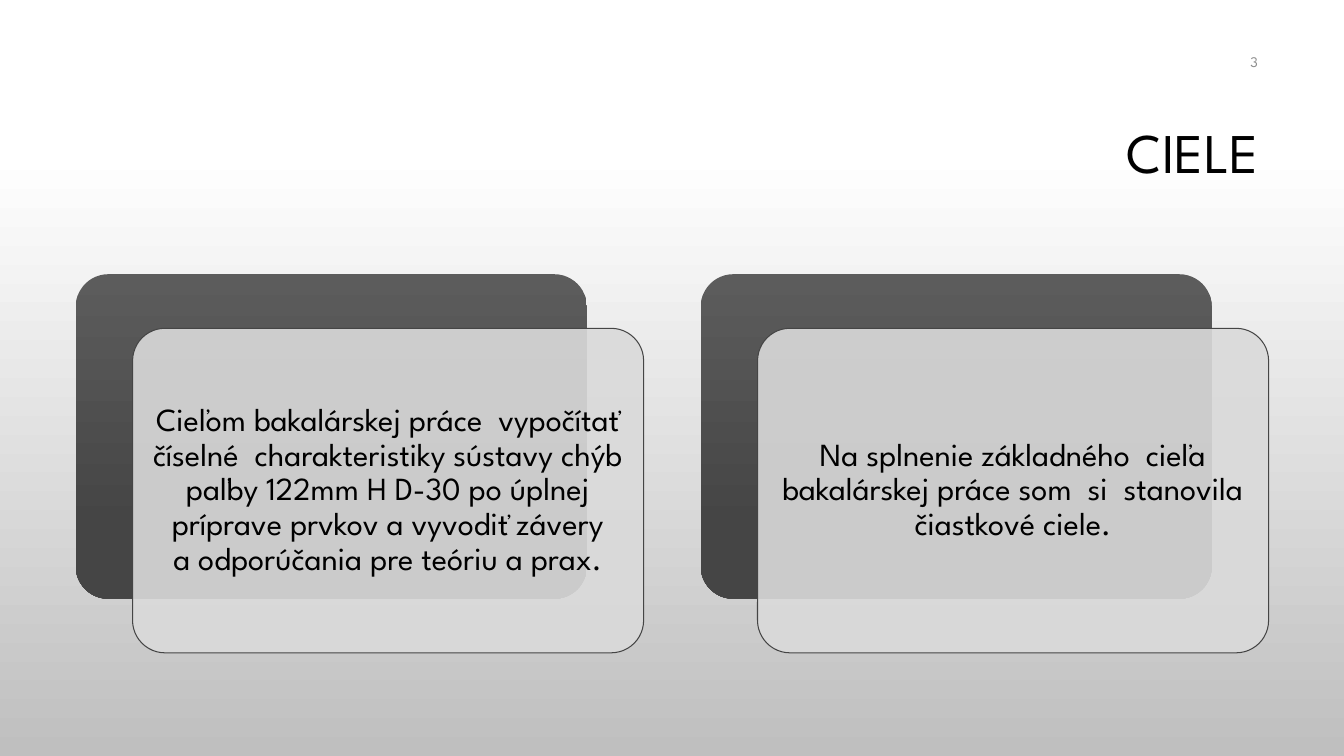
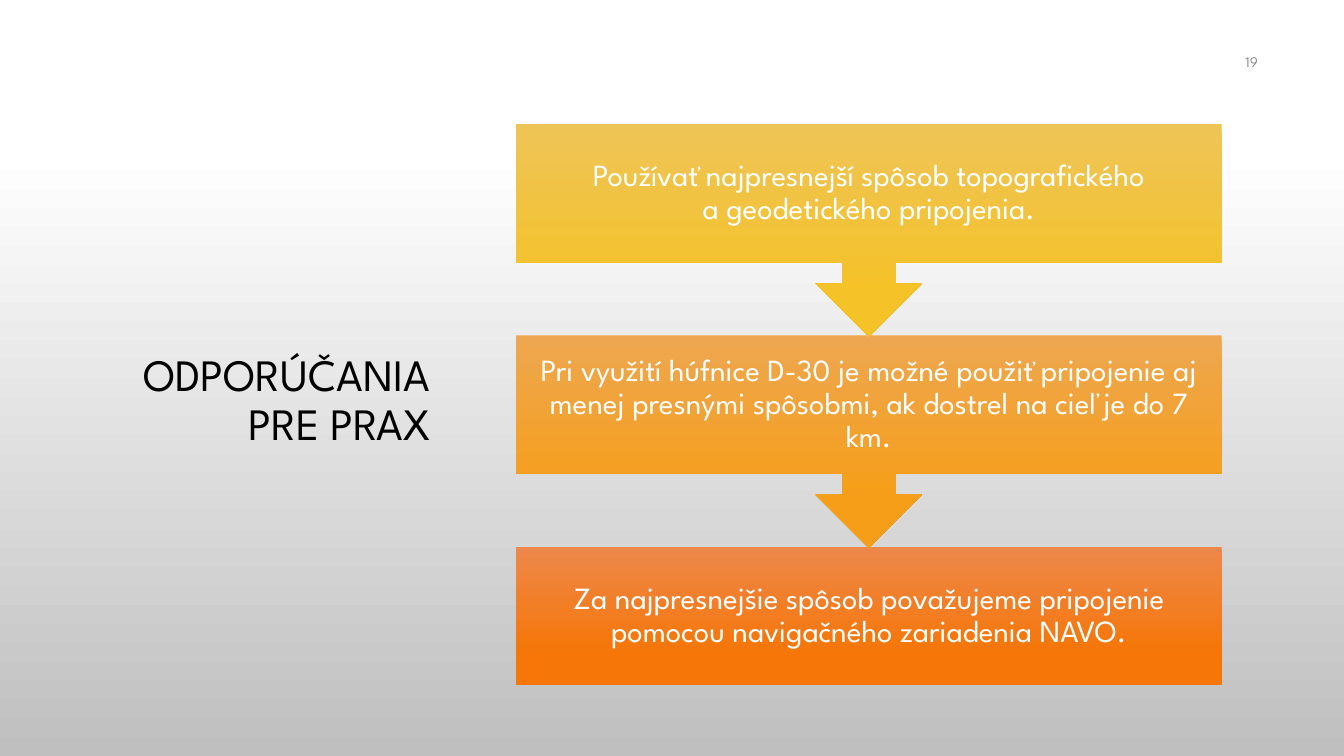
from dataclasses import dataclass

from lxml.etree import SubElement
from pptx import Presentation
from pptx.dml.color import RGBColor
from pptx.enum.shapes import MSO_SHAPE
from pptx.enum.text import MSO_ANCHOR, PP_ALIGN
from pptx.oxml.ns import qn
from pptx.util import Cm, Pt


@dataclass(frozen=True)
class Theme:
    """Colours, gradients and type sizes of the deck."""

    font: str = "League Spartan"
    ink: str = "000000"
    light: str = "FFFFFF"
    muted: str = "8C8C8C"
    backdrop: tuple = ((0.2, "FFFFFF"), (1, "BFBFBF"))
    card_back: tuple = ((0, "5C5C5C"), (0.78, "454545"))
    card_front: str = "DADADA"
    card_edge: str = "454545"
    steps: tuple = (
        ((0, "EEC457"), (0.78, "F5C228")),
        ((0, "EEA750"), (0.78, "F69E17")),
        ((0, "ED884B"), (0.78, "F67607")),
    )
    title_size: float = 40
    side_title_size: float = 32
    card_size: float = 23
    step_size: float = 22
    number_size: float = 10.5


@dataclass(frozen=True)
class Box:
    """A region of the slide in centimetres."""

    left: float
    top: float
    width: float
    height: float

    def lengths(self):
        """Return the four lengths that python-pptx expects."""
        return [Cm(side) for side in (self.left, self.top, self.width, self.height)]


THEME = Theme()
NUMBER_BOX = Box(24.33, 1.05, 7.62, 1.02)
NO_BREAK = chr(160)


def fill_gradient(fill, stops):
    """Fill from top to bottom with two (position, colour) stops."""
    fill.gradient()
    fill.gradient_angle = 270
    for stop, (position, colour) in zip(fill.gradient_stops, stops):
        stop.position = position
        stop.color.rgb = RGBColor.from_string(colour)


def write_text(frame, text, *, size, color=THEME.ink, align=PP_ALIGN.CENTER,
               spacing=0.9, inset=None):
    """Write one formatted paragraph, centred vertically in the frame."""
    frame.word_wrap = True
    frame.vertical_anchor = MSO_ANCHOR.MIDDLE
    if inset is not None:
        frame.margin_left = frame.margin_right = Cm(inset)
        frame.margin_top = frame.margin_bottom = Cm(inset)
    paragraph = frame.paragraphs[0]
    paragraph.alignment = align
    paragraph.line_spacing = spacing
    run = paragraph.add_run()
    run.text = text
    run.font.name = THEME.font
    run.font.size = Pt(size)
    run.font.color.rgb = RGBColor.from_string(color)


def add_label(slide, box, text, **style):
    """Add a right-aligned text box."""
    label = slide.shapes.add_textbox(*box.lengths())
    write_text(label.text_frame, text, align=PP_ALIGN.RIGHT, **style)


def add_panel(slide, preset, box):
    """Add a preset shape without shadow or outline."""
    panel = slide.shapes.add_shape(preset, *box.lengths())
    panel.shadow.inherit = False
    panel.line.fill.background()
    return panel


def add_card(slide, box, text):
    """Add a dark card with a translucent text card shifted in front of it."""
    shift_x, shift_y = box.width / 10, box.height / 7
    width, height = box.width - shift_x, box.height - shift_y
    back = add_panel(slide, MSO_SHAPE.ROUNDED_RECTANGLE,
                     Box(box.left, box.top, width, height))
    front = add_panel(slide, MSO_SHAPE.ROUNDED_RECTANGLE,
                      Box(box.left + shift_x, box.top + shift_y, width, height))
    back.adjustments[0] = front.adjustments[0] = 0.1
    fill_gradient(back.fill, THEME.card_back)
    front.fill.solid()
    front.fill.fore_color.rgb = RGBColor.from_string(THEME.card_front)
    colour = front.element.spPr.find(qn("a:solidFill"))[0]
    SubElement(colour, qn("a:alpha"), val="90000")
    front.line.color.rgb = RGBColor.from_string(THEME.card_edge)
    front.line.width = Pt(0.75)
    write_text(front.text_frame, text, size=THEME.card_size, inset=0.25)


def add_card_row(slide, box, texts, gap=1.44):
    """Spread equal cards across the box."""
    width = (box.width - gap * (len(texts) - 1)) / len(texts)
    for column, text in enumerate(texts):
        left = box.left + column * (width + gap)
        add_card(slide, Box(left, box.top, width, box.height), text)


def add_step_flow(slide, box, texts, step_height=3.48, step_share=0.65):
    """Stack steps down the box, each but the last pointing to the next."""
    last = len(texts) - 1
    pitch = (box.height - step_height) / last
    for row in range(last, -1, -1):
        if row == last:
            preset, height = MSO_SHAPE.RECTANGLE, step_height
        else:
            preset, height = MSO_SHAPE.DOWN_ARROW_CALLOUT, step_height / step_share
        step = add_panel(slide, preset,
                         Box(box.left, box.top + row * pitch, box.width, height))
        if row < last:
            step.adjustments[3] = step_share
        fill_gradient(step.fill, THEME.steps[row])
        write_text(step.text_frame, texts[row], size=THEME.step_size,
                   color=THEME.light, inset=0.43)


def add_page(deck, number, title, title_box, title_size):
    """Add a slide with its title and page number."""
    slide = deck.slides.add_slide(deck.slide_layouts[6])
    add_label(slide, title_box, title, size=title_size)
    add_label(slide, NUMBER_BOX, number, size=THEME.number_size,
              color=THEME.muted, spacing=1.0)
    return slide


def add_goals(deck):
    """Build the slide with the goals of the thesis."""
    slide = add_page(deck, "3", "CIELE", Box(8.05, 2.13, 23.93, 3.58),
                     THEME.title_size)
    add_card_row(slide, Box(1.91, 6.91, 30.06, 9.54), (
        "Cieľom bakalárskej práce  vypočítať číselné  charakteristiky sústavy "
        f"chýb paľby 122mm H D-30 po úplnej príprave prvkov a{NO_BREAK}vyvodiť "
        f"závery a{NO_BREAK}odporúčania pre teóriu a{NO_BREAK}prax.",
        "Na splnenie základného  cieľa bakalárskej práce som  si  stanovila "
        "čiastkové ciele.",
    ))


def add_recommendations(deck):
    """Build the slide with the recommendations for practice."""
    slide = add_page(deck, "19", "ODPORÚČANIA PRE PRAX", Box(1.9, 2.97, 9.2, 14.3),
                     THEME.side_title_size)
    add_step_flow(slide, Box(13, 3.13, 17.79, 14.13), (
        "Používať najpresnejší spôsob topografického "
        f"a{NO_BREAK}geodetického pripojenia.",
        "Pri využití húfnice D-30 je možné použiť pripojenie aj menej presnými "
        "spôsobmi, ak dostrel na cieľ je do 7 km.",
        "Za najpresnejšie spôsob považujeme pripojenie pomocou navigačného "
        "zariadenia NAVO.",
    ))


def main():
    """Build and save the deck."""
    deck = Presentation()
    deck.slide_width, deck.slide_height = Cm(33.87), Cm(19.05)
    fill_gradient(deck.slide_master.background.fill, THEME.backdrop)
    add_goals(deck)
    add_recommendations(deck)
    deck.save("out.pptx")


if __name__ == "__main__":
    main()
